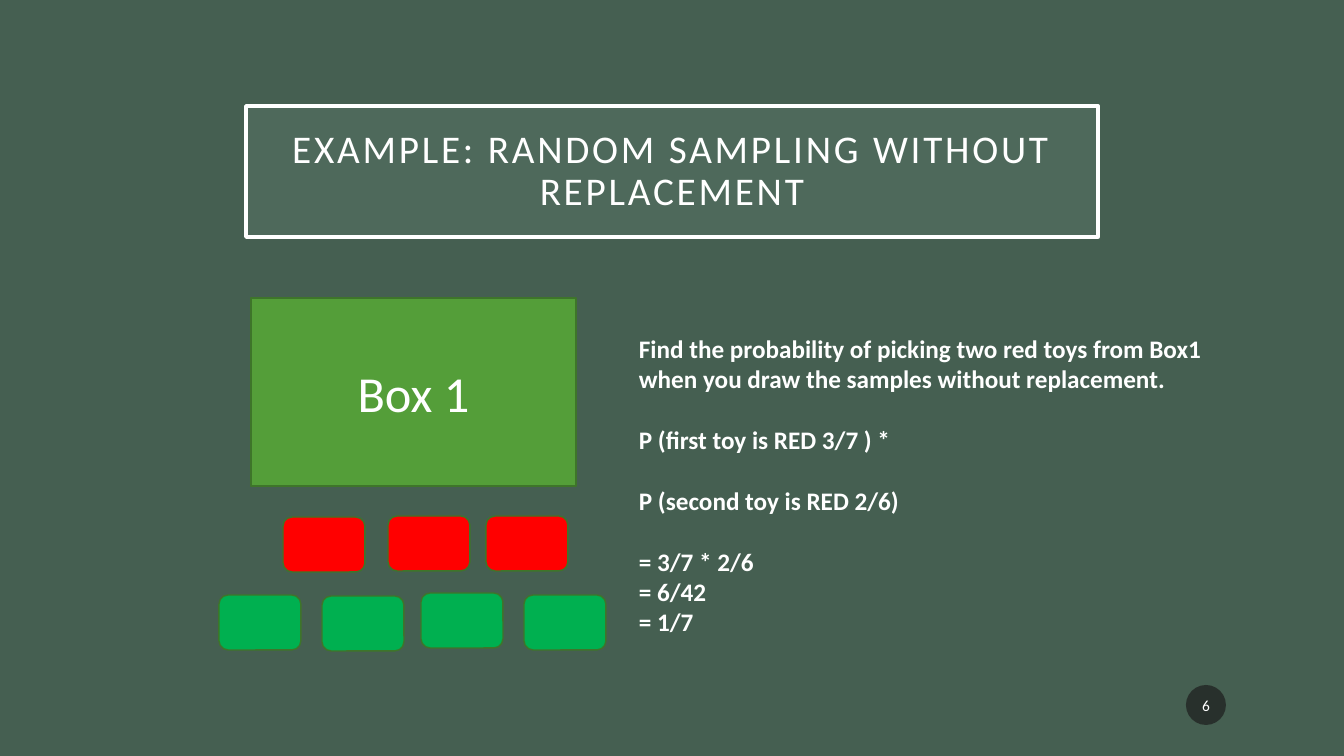
from pptx import Presentation
from pptx.dml.color import RGBColor
from pptx.enum.shapes import MSO_SHAPE as Shape
from pptx.enum.text import MSO_ANCHOR as Anchor, PP_ALIGN as Align
from pptx.oxml.ns import qn
from pptx.util import Emu, Pt
from lxml.etree import SubElement

WHITE, EDGE = "FFFFFF", "3E752A"
RED, GREEN = "FF0000", "00B050"


def px(n):
    return Emu(round(n * 914400 / 100.8))


def rgb(code):
    return RGBColor.from_string(code)


class Deck:
    font = "Calibri"

    def __init__(self, back):
        self.file = Presentation()
        self.file.slide_width, self.file.slide_height = px(1344), px(756)
        self.slide = self.file.slides.add_slide(self.file.slide_layouts[6])
        fill = self.slide.background.fill
        fill.solid()
        fill.fore_color.rgb = rgb(back)

    def style(self, para, size, bold=False):
        font = para.font
        font.name, font.size, font.bold = self.font, Pt(size), bold
        font.color.rgb = rgb(WHITE)

    def shape(self, kind, box, fill, line=None, width=1, alpha=None):
        """Draw a preset shape; alpha is its opacity in percent."""
        item = self.slide.shapes.add_shape(kind, *map(px, box))
        item.shadow.inherit = False
        item.fill.solid()
        item.fill.fore_color.rgb = rgb(fill)
        if alpha:
            tint = item.fill._xPr.find(qn("a:solidFill"))[0]
            SubElement(tint, qn("a:alpha"), val=str(alpha * 1000))
        if line:
            item.line.color.rgb = rgb(line)
            item.line.width = Pt(width)
        else:
            item.line.fill.background()
        return item

    def label(self, item, text, size, pad=(10, 5), space=None, track=None):
        """Centre text in a shape; pad is (side, top), track is in points."""
        frame = item.text_frame
        frame.word_wrap = True
        frame.vertical_anchor = Anchor.MIDDLE
        frame.margin_left = frame.margin_right = px(pad[0])
        frame.margin_top = frame.margin_bottom = px(pad[1])
        para = frame.paragraphs[0]
        para.alignment = Align.CENTER
        para.line_spacing = space
        run = para.add_run()
        run.text = text
        self.style(para, size)
        if track:
            run.font._element.set("spc", str(track * 100))

    def text(self, box, lines, size, gap):
        """Write bold lines, each a (text, has gap above) pair."""
        frame = self.slide.shapes.add_textbox(*map(px, box)).text_frame
        frame.word_wrap = True
        for i, (line, apart) in enumerate(lines):
            para = frame.add_paragraph() if i else frame.paragraphs[0]
            para.text = line
            para.space_before = Pt(gap if apart else 0)
            self.style(para, size, True)

    def toys(self, spots, fill):
        for left, top in spots:
            self.shape(Shape.ROUNDED_RECTANGLE, (left, top, 82, 55), fill, EDGE)


def main():
    deck = Deck("455F51")
    deck.text((629, 328, 613, 346), [
        ("Find the probability of picking two red toys from Box1 "
         "when you draw the samples without replacement.", False),
        ("P (first toy is RED 3/7 ) *", True),
        ("P (second toy is RED 2/6)", True),
        ("= 3/7 * 2/6", True),
        ("= 6/42", False),
        ("= 1/7", False),
    ], 18, 22)

    title = deck.shape(Shape.RECTANGLE, (246, 106, 852, 131), "87A896",
                       WHITE, 2.5, 15)
    deck.label(title, "EXAMPLE: RANDOM SAMPLING WITHOUT REPLACEMENT", 28,
               (20, 20), 0.9, 2)
    page = deck.shape(Shape.OVAL, (1186, 685, 40, 40), "1D1D1D", alpha=70)
    deck.label(page, "6", 11, (2, 5))
    crate = deck.shape(Shape.RECTANGLE, (251, 298, 325, 188), "549E39", EDGE)
    deck.label(crate, "Box 1", 36)

    deck.toys([(283, 517), (388, 516), (486, 516)], RED)
    deck.toys([(219, 595), (322, 596), (421, 593), (524, 595)], GREEN)
    deck.file.save("out.pptx")


if __name__ == "__main__":
    main()
